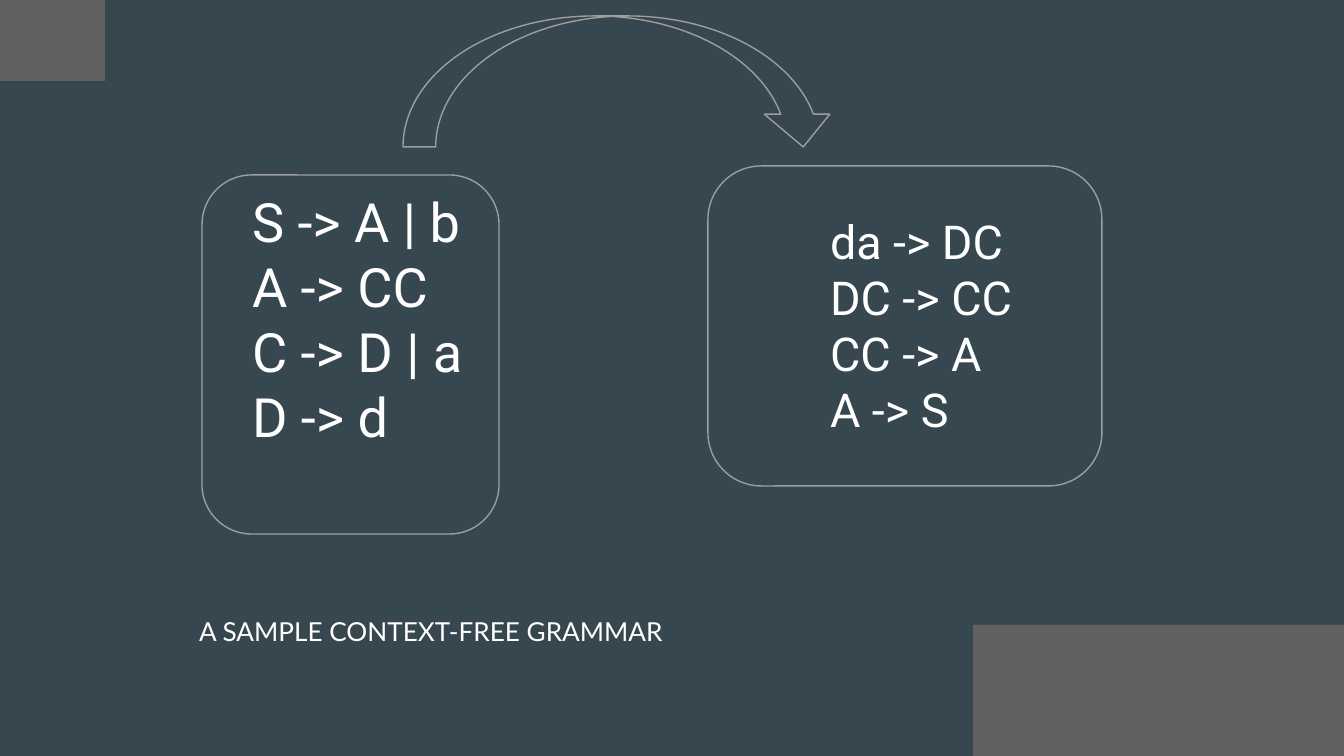
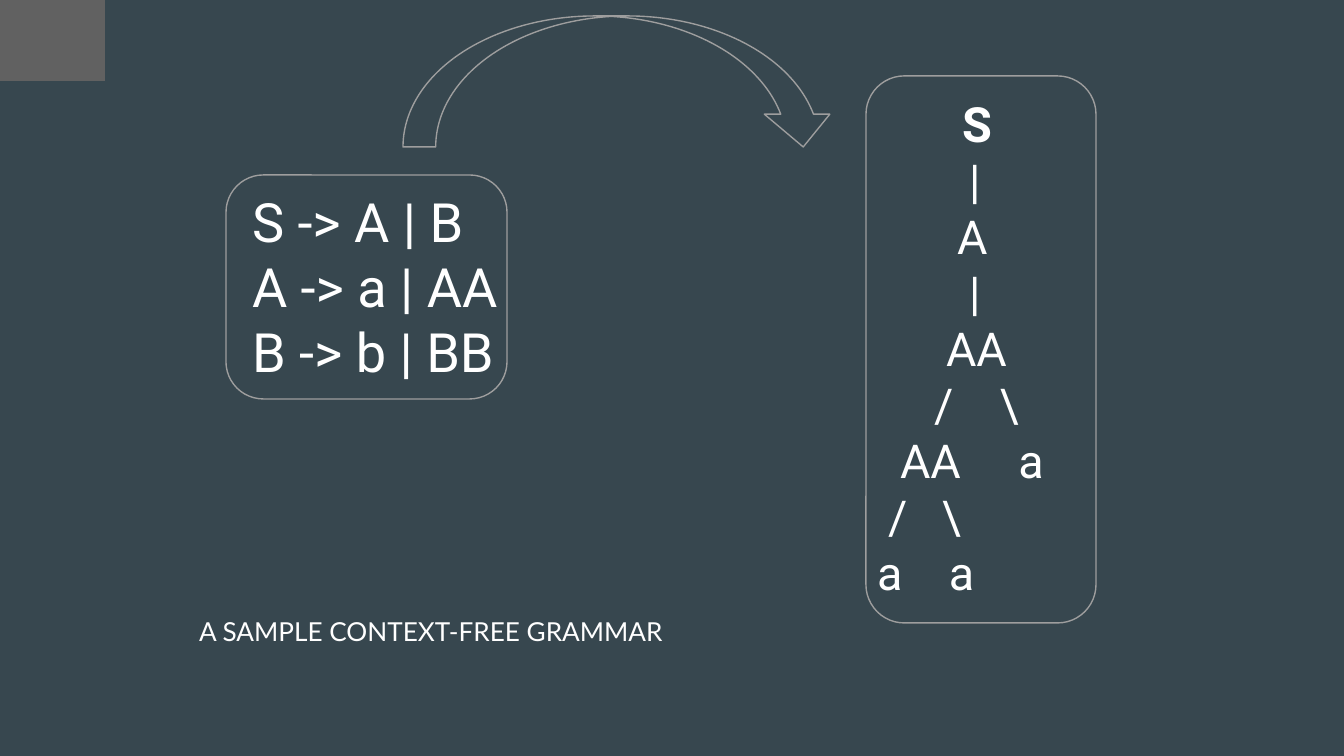
from lxml import etree
from pptx import Presentation
from pptx.dml.color import RGBColor
from pptx.enum.shapes import MSO_SHAPE
from pptx.enum.text import MSO_ANCHOR, MSO_AUTO_SIZE, PP_ALIGN
from pptx.oxml.ns import qn
from pptx.util import Emu, Pt

RECTANGLE = MSO_SHAPE.RECTANGLE
ROUNDED = MSO_SHAPE.ROUNDED_RECTANGLE
CURVED_ARROW = MSO_SHAPE.CURVED_DOWN_ARROW
LEFT, TOP, NO_FIT = PP_ALIGN.LEFT, MSO_ANCHOR.TOP, MSO_AUTO_SIZE.NONE

BACKGROUND, CORNER, OUTLINE, TEXT = "37474F", "616161", "9E9E9E", "FFFFFF"
GRAMMAR_SIZE, DERIVATION_SIZE, ROOT_SIZE, CAPTION_SIZE = 29, 25, 26, 14
INSET = 13
TWO_CONTENT_LAYOUT = 3

CAPTION = "A SAMPLE CONTEXT-FREE GRAMMAR"
CAPTION_AREA = (186, 602, 737, 59)
ARROW_AREA = (403, 16, 433, 131)
TOP_CORNER = (0, 0, 105, 81)
BOTTOM_CORNER = (973, 625, 371, 131)

SLIDES = [
    {
        "corners": [TOP_CORNER, BOTTOM_CORNER],
        "grammar": ["S -> A | b", "A -> CC", "C -> D | a", "D -> d"],
        "grammar_area": (239, 175, 1133, 289),
        "derivation": ["da -> DC", "DC -> CC", "CC -> A", "A -> S"],
        "derivation_area": (805, 200, 519, 254),
        "indents": [12, 12, 12, 12],
        "branch_gaps": {},
        "bold_root": False,
        "frames": [(202, 175, 297, 359), (708, 166, 394, 320)],
    },
    {
        "corners": [TOP_CORNER],
        "grammar": ["S -> A | B", "A -> a | AA", "B -> b | BB"],
        "grammar_area": (239, 175, 1133, 224),
        "derivation": ["S", "|", "A", "|", "AA", "/ \\", "AA a", "/ \\", "a a"],
        "derivation_area": (852, 81, 519, 539),
        "indents": [97, 104, 92, 104, 81, 69, 35, 23, 12],
        "branch_gaps": {5: 35, 6: 46, 7: 23, 8: 35},
        "bold_root": True,
        "frames": [(226, 175, 281, 224), (866, 76, 230, 547)],
    },
]


def px(length):
    return Emu(round(length * 914400 / 134.4))


def color(value):
    return RGBColor.from_string(value)


def add_shape(page, kind, area, fill=None, line=None):
    shape = page.shapes.add_shape(kind, *map(px, area))
    shape.shadow.inherit = False
    if fill:
        shape.fill.solid()
        shape.fill.fore_color.rgb = color(fill)
    else:
        shape.fill.background()
    if line:
        shape.line.color.rgb = color(line)
        shape.line.width = Pt(0.75)
    else:
        shape.line.fill.background()


def format_span(span, size, font):
    span.font.name = font
    span.font.size = Pt(size)
    span.font.color.rgb = color(TEXT)


def fill_placeholder(box, area, lines, size, font="Roboto"):
    box.left, box.top, box.width, box.height = map(px, area)
    frame = box.text_frame
    frame.text = "\n".join(lines)
    frame.word_wrap = True
    frame.auto_size = NO_FIT
    frame.vertical_anchor = TOP
    frame.margin_left = frame.margin_right = px(INSET)
    frame.margin_top = frame.margin_bottom = px(INSET)
    for para in frame.paragraphs:
        para.alignment = LEFT
        para.space_before = para.space_after = Pt(0)
        properties = para._p.get_or_add_pPr()
        properties.set("marL", "0")
        properties.set("indent", "0")
        etree.SubElement(properties, qn("a:buNone"))
        for span in para.runs:
            format_span(span, size, font)
    return frame.paragraphs


def widen_space(para, gap):
    first = para.runs[0]
    left, space, right = first.text.partition(" ")
    first.text = left
    for text in (space, right):
        span = para.add_run()
        span.text = text
        format_span(span, DERIVATION_SIZE, "Roboto")
    spacing = round(px(gap).pt * 100)
    para.runs[1]._r.get_or_add_rPr().set("spc", str(spacing))


def add_derivation(box, content):
    paragraphs = fill_placeholder(
        box, content["derivation_area"], content["derivation"], DERIVATION_SIZE)
    for para, indent in zip(paragraphs, content["indents"]):
        para._p.get_or_add_pPr().set("marL", str(px(indent)))
    for row, gap in content["branch_gaps"].items():
        widen_space(paragraphs[row], gap)
    if content["bold_root"]:
        root = paragraphs[0].runs[0].font
        root.bold = True
        root.size = Pt(ROOT_SIZE)


def build_slide(deck, content):
    page = deck.slides.add_slide(deck.slide_layouts[TWO_CONTENT_LAYOUT])
    caption, grammar, derivation = page.placeholders
    for corner in content["corners"]:
        add_shape(page, RECTANGLE, corner, fill=CORNER)
    fill_placeholder(
        grammar, content["grammar_area"], content["grammar"], GRAMMAR_SIZE)
    add_derivation(derivation, content)
    for frame_area in content["frames"]:
        add_shape(page, ROUNDED, frame_area, line=OUTLINE)
    add_shape(page, CURVED_ARROW, ARROW_AREA, line=OUTLINE)
    fill_placeholder(caption, CAPTION_AREA, [CAPTION], CAPTION_SIZE, "Lato")


def main():
    deck = Presentation()
    deck.slide_width, deck.slide_height = px(1344), px(756)
    background = deck.slide_master.background.fill
    background.solid()
    background.fore_color.rgb = color(BACKGROUND)
    for content in SLIDES:
        build_slide(deck, content)
    deck.save("out.pptx")


if __name__ == "__main__":
    main()
